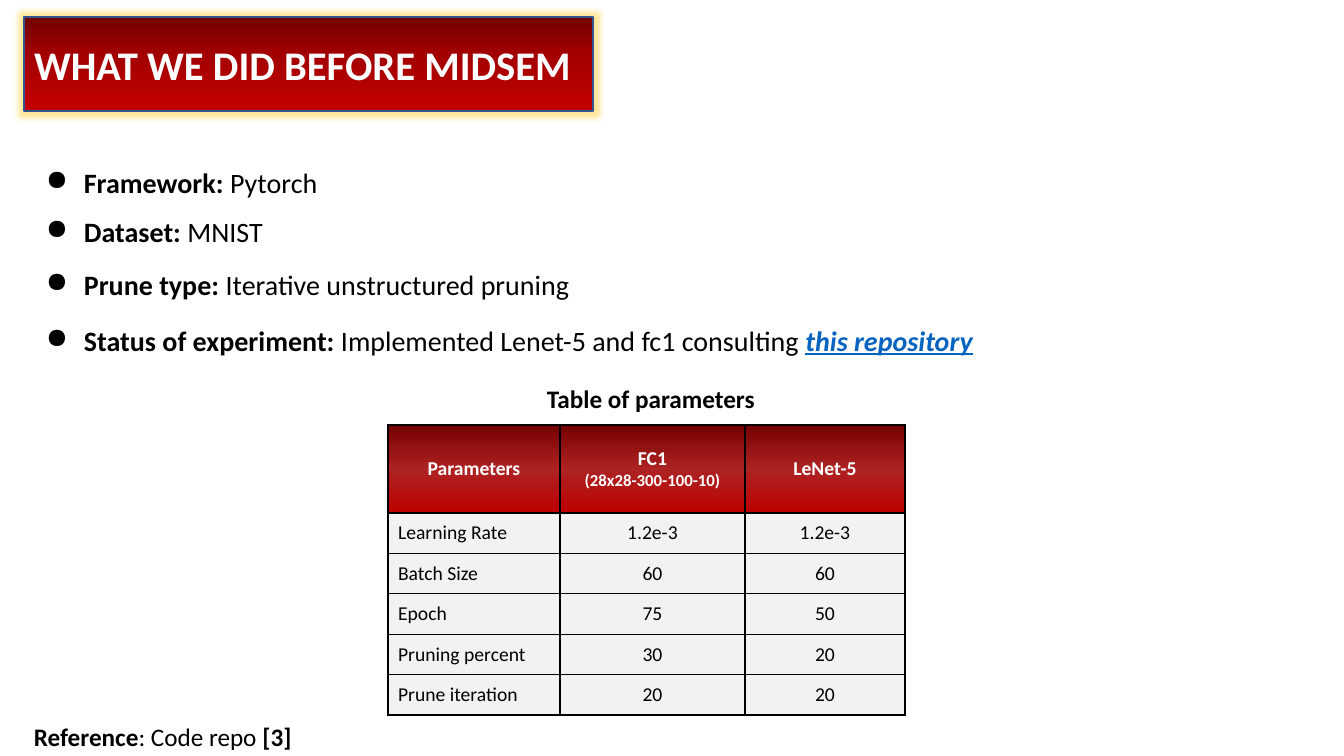
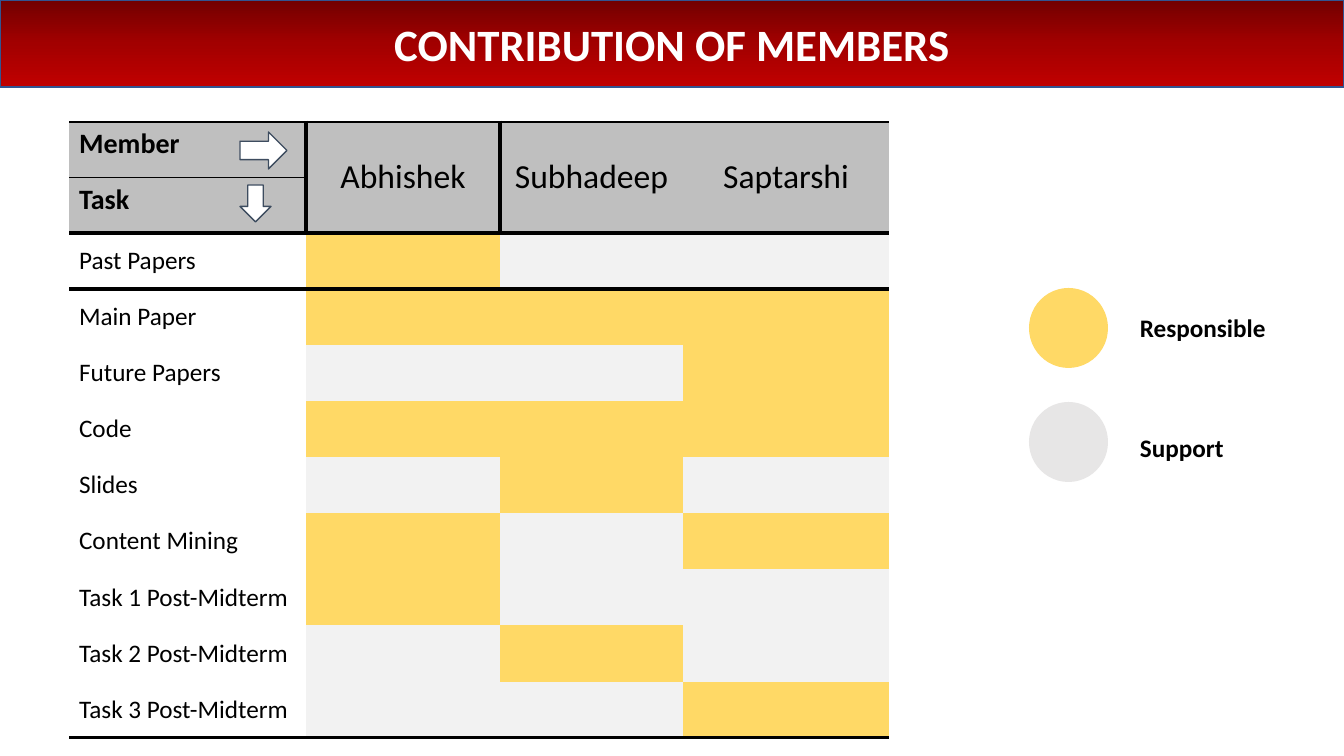
from pptx import Presentation
from pptx.dml.color import RGBColor
from pptx.enum.shapes import MSO_SHAPE
from pptx.enum.text import MSO_ANCHOR, MSO_AUTO_SIZE, PP_ALIGN
from pptx.oxml import parse_xml
from pptx.util import Pt

# Shared style
PX = 914400 / 100.8
NS = 'xmlns:a="http://schemas.openxmlformats.org/drawingml/2006/main"'
FONT = "Calibri"
BLACK, WHITE = "000000", "FFFFFF"
DARK_RED, RED, BRIGHT_RED = "720000", "A20000", "C00000"
YELLOW, PALE, GREY, SUPPORT_GREY = "FFD966", "F2F2F2", "BFBFBF", "E7E6E6"
TITLE_LINE, ARROW_LINE, LINK = "325491", "3D4C5F", "0563C1"
NO_STYLE = "{2D5ABB26-0587-4C30-8999-92F81FD0307C}"

# Slide 1 content: a run is (text, flags), flags being b, i, u or l (link colour)
SETUP_TITLE = "WHAT WE DID BEFORE MIDSEM"
BULLETS = [  # space before in points, runs
    (0, [("Framework: ", "b"), ("Pytorch", "")]),
    (11, [("Dataset:", "b"), (" MNIST", "")]),
    (14, [("Prune type:", "b"), (" Iterative unstructured pruning", "")]),
    (16, [("Status of experiment: ", "b"),
          ("Implemented Lenet-5 and fc1 consulting ", ""),
          ("this repository", "biul")]),
]
CAPTION = [("Table of parameters", "b")]
REFERENCE = [("Reference", "b"), (": Code repo ", ""), ("[3]", "b")]
PARAMETERS = [
    ("Parameters", "FC1\n(28x28-300-100-10)", "LeNet-5"),
    ("Learning Rate", "1.2e-3", "1.2e-3"),
    ("Batch Size", "60", "60"),
    ("Epoch", "75", "50"),
    ("Pruning percent", "30", "20"),
    ("Prune iteration", "20", "20"),
]

# Slide 2 content: R is responsible, S is support, one letter per member
MEMBERS_TITLE = "CONTRIBUTION OF MEMBERS"
AXES = ["Member", "Task"]
MEMBERS = ["Abhishek", "Subhadeep", "Saptarshi"]
TASKS = [
    ("Past Papers", "RSS"),
    ("Main Paper", "RRR"),
    ("Future Papers", "SSR"),
    ("Code", "RRR"),
    ("Slides", "SRS"),
    ("Content Mining", "RSR"),
    ("Task 1 Post-Midterm", "RSS"),
    ("Task 2 Post-Midterm", "SRS"),
    ("Task 3 Post-Midterm", "SSR"),
]
ROLE_FILL = {"R": YELLOW, "S": PALE}
ARROWS = [
    (MSO_SHAPE.DOWN_ARROW, (240, 185, 31, 37)),
    (MSO_SHAPE.RIGHT_ARROW, (240, 132, 47, 37)),
]
LEGEND = [  # label, colour, circle top, label top
    ("Responsible", YELLOW, 288, 307),
    ("Support", SUPPORT_GREY, 402, 427),
]


def px(n):
    return int(n * PX)


def rgb(color):
    return RGBColor.from_string(color)


def format_run(r, size, color=BLACK, flags=""):
    f = r.font
    f.name, f.size = FONT, Pt(size)
    f.bold, f.italic = "b" in flags, "i" in flags
    if "u" in flags:
        f.underline = True
    f.color.rgb = rgb(LINK if "l" in flags else color)


def add_runs(p, runs, size):
    for text, flags in runs:
        r = p.add_run()
        r.text = text
        format_run(r, size, flags=flags)


def add_text(s, box, runs, size=18):
    tf = s.shapes.add_textbox(*map(px, box)).text_frame
    tf.word_wrap = True
    add_runs(tf.paragraphs[0], runs, size)


def gradient(*stops):
    """Vertical gradient from (position %, colour, opacity %) stops."""
    gs = "".join(
        f'<a:gs pos="{pos * 1000}"><a:srgbClr val="{color}">'
        f'<a:alpha val="{alpha * 1000}"/></a:srgbClr></a:gs>'
        for pos, color, alpha in stops)
    return parse_xml(f'<a:gradFill {NS} rotWithShape="1"><a:gsLst>{gs}</a:gsLst>'
                     '<a:lin ang="5400000" scaled="0"/></a:gradFill>')


def red_gradient(middle=50, end=100, middle_alpha=100):
    return gradient((0, DARK_RED, 100), (middle, RED, middle_alpha),
                    (end, BRIGHT_RED, 100))


def add_title_slide(prs, text, box, size, align, geometry, fill):
    s = prs.slides.add_slide(prs.slide_layouts[5])
    sp = s.shapes.title
    sp.left, sp.top, sp.width, sp.height = map(px, box)
    spPr = sp._element.spPr
    spPr.append(parse_xml(f'<a:prstGeom {NS} prst="{geometry}"><a:avLst/></a:prstGeom>'))
    spPr.append(fill)
    sp.line.color.rgb = rgb(TITLE_LINE)
    sp.line.width = Pt(1)
    tf = sp.text_frame
    tf.text = text
    tf.word_wrap = True
    tf.auto_size = MSO_AUTO_SIZE.NONE
    tf.vertical_anchor = MSO_ANCHOR.MIDDLE
    p = tf.paragraphs[0]
    p.alignment = align
    format_run(p.runs[0], size, WHITE, "b")
    return s


def add_plain_shape(s, kind, box, fill, line=None):
    sp = s.shapes.add_shape(kind, *map(px, box))
    sp.shadow.inherit = False
    sp.fill.solid()
    sp.fill.fore_color.rgb = rgb(fill)
    if line:
        sp.line.color.rgb = rgb(line)
        sp.line.width = Pt(1)
    else:
        sp.line.fill.background()


def add_plain_table(s, left, top, widths, heights):
    frame = s.shapes.add_table(len(heights), len(widths), px(left), px(top),
                               px(sum(widths)), px(sum(heights)))
    table = frame.table
    table.first_row = table.horz_banding = False
    table._tbl.tblPr[0].text = NO_STYLE
    for column, width in zip(table.columns, widths):
        column.width = px(width)
    for row, height in zip(table.rows, heights):
        row.height = px(height)
    return table


def style_cell(cell, fill, borders, text="", sizes=(18,), color=BLACK, flags="",
               align=PP_ALIGN.LEFT, anchor=MSO_ANCHOR.MIDDLE):
    """Borders maps the sides L, R, T, B to widths in points."""
    tcPr = cell._tc.get_or_add_tcPr()
    for side in "LRTB":
        if side in borders:
            tcPr.append(parse_xml(
                f'<a:ln{side} {NS} w="{Pt(borders[side])}"><a:solidFill>'
                f'<a:srgbClr val="{BLACK}"/></a:solidFill></a:ln{side}>'))
    if isinstance(fill, str):
        cell.fill.solid()
        cell.fill.fore_color.rgb = rgb(fill)
    else:
        tcPr.append(fill)
    cell.vertical_anchor = anchor
    if text:
        cell.text_frame.text = text
        for p, size in zip(cell.text_frame.paragraphs, sizes):
            p.alignment = align
            format_run(p.runs[0], size, color, flags)


def build_setup(prs):
    s = add_title_slide(prs, SETUP_TITLE, (24, 17, 569, 94), 29, PP_ALIGN.LEFT,
                        "roundRect", red_gradient(39, 93))
    s.shapes.title._element.spPr.append(parse_xml(
        f'<a:effectLst {NS}><a:glow rad="101600"><a:srgbClr val="FFC000">'
        '<a:alpha val="40000"/></a:srgbClr></a:glow></a:effectLst>'))

    # Bullet list
    tf = s.shapes.add_textbox(*map(px, (24, 155, 1103, 246))).text_frame
    tf.word_wrap = True
    tf.margin_top = tf.margin_bottom = px(10)
    for i, (space, runs) in enumerate(BULLETS):
        p = tf.add_paragraph() if i else tf.paragraphs[0]
        p.space_before = Pt(space)
        pPr = p._p.get_or_add_pPr()
        pPr.set("marL", str(px(50)))
        pPr.set("indent", str(px(-38)))
        pPr.append(parse_xml(f'<a:buChar {NS} char="●"/>'))
        add_runs(p, runs, 20)

    # Parameter table
    body_rows = len(PARAMETERS) - 1
    heights = [88] + [202 / body_rows] * body_rows
    table = add_plain_table(s, 388, 425, [172, 185, 160], heights)
    for i, row in enumerate(PARAMETERS):
        for j, text in enumerate(row):
            borders = dict.fromkeys("LRTB", 1)
            if i == 0:
                borders["B"] = 2.25
            elif i == 1:
                borders["T"] = 2.25
            header = i == 0
            style_cell(table.cell(i, j),
                       red_gradient(middle_alpha=86) if header else PALE,
                       borders, text, (14, 12), WHITE if header else BLACK,
                       "b" if header else "",
                       PP_ALIGN.CENTER if header or j else PP_ALIGN.LEFT)

    add_text(s, (537, 378, 255, 40), CAPTION)
    add_text(s, (24, 716, 364, 40), REFERENCE)


def build_members(prs):
    s = add_title_slide(prs, MEMBERS_TITLE, (0, 0, 1344, 87), 32, PP_ALIGN.CENTER,
                        "rect", red_gradient())

    # Table header: two axis cells, then members over both rows
    heights = [55.5] * 2 + [505 / len(TASKS)] * len(TASKS)
    table = add_plain_table(s, 69, 122, [237, 194, 183, 206], heights)
    axis_borders = [{"T": 2.25, "R": 3, "B": 1}, {"T": 1, "R": 3, "B": 3}]
    for i, (axis, borders) in enumerate(zip(AXES, axis_borders)):
        style_cell(table.cell(i, 0), GREY, borders, axis, (20,), flags="b",
                   anchor=MSO_ANCHOR.TOP)
    for j, member in enumerate(MEMBERS, 1):
        borders = {"T": 2.25, "B": 3}
        if j == 1:
            borders["L"] = 3
        table.cell(0, j).merge(table.cell(1, j))
        style_cell(table.cell(0, j), GREY, borders, member, (24,),
                   align=PP_ALIGN.CENTER)
        style_cell(table.cell(1, j), GREY, {"B": 3})

    # Task rows
    for i, (task, roles) in enumerate(TASKS, 2):
        borders = {}
        if i == 2:
            borders["T"] = 3
        if i == len(TASKS) + 1:
            borders["B"] = 2.25
        style_cell(table.cell(i, 0), WHITE, borders, task)
        for j, role in enumerate(roles, 1):
            style_cell(table.cell(i, j), ROLE_FILL[role], borders)

    for kind, box in ARROWS:
        add_plain_shape(s, kind, box, WHITE, ARROW_LINE)

    # Legend
    for label, color, circle_top, label_top in LEGEND:
        add_plain_shape(s, MSO_SHAPE.OVAL, (1029, circle_top, 79, 80), color)
        add_text(s, (1130, label_top, 176, 40), [(label, "b")])


def main():
    prs = Presentation()
    prs.slide_width, prs.slide_height = px(1344), px(756)
    build_setup(prs)
    build_members(prs)
    prs.save("out.pptx")


if __name__ == "__main__":
    main()
